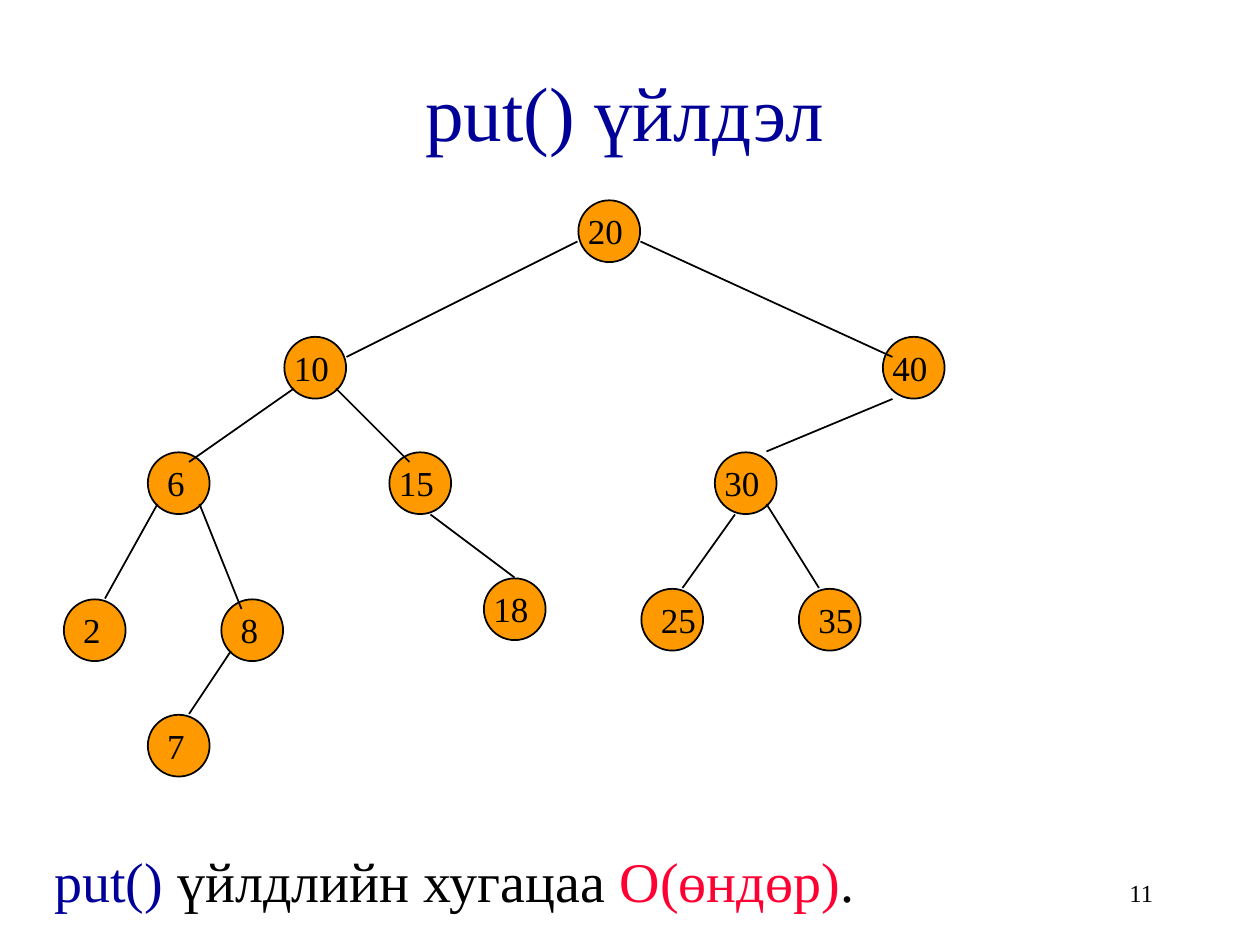
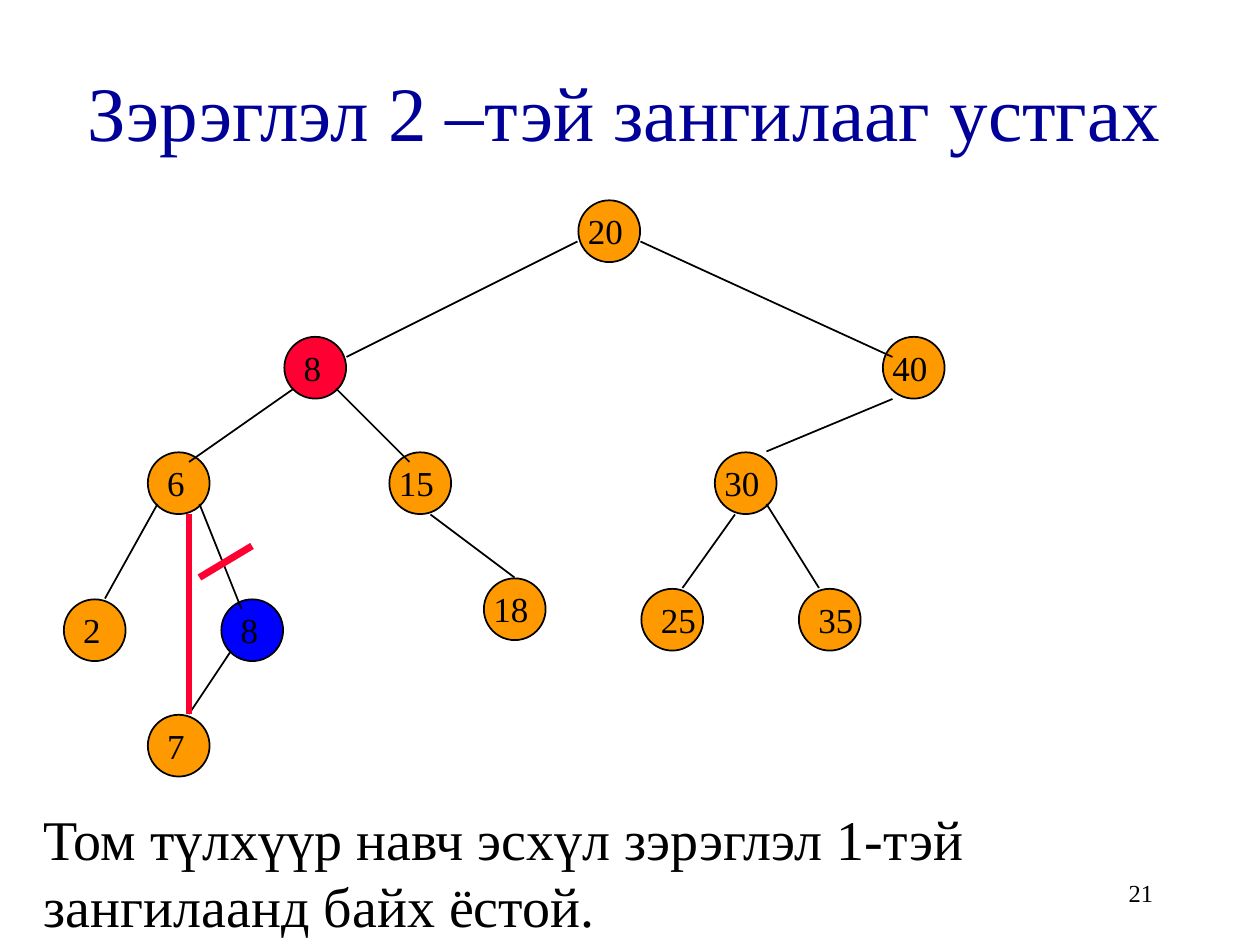
from lxml.etree import SubElement
from pptx import Presentation
from pptx.dml.color import RGBColor
from pptx.enum.shapes import MSO_CONNECTOR, MSO_SHAPE
from pptx.enum.text import MSO_ANCHOR, MSO_AUTO_SIZE, PP_ALIGN
from pptx.oxml.ns import qn
from pptx.util import Inches, Pt

COLORS = {"navy": "000099", "black": "000000", "red": "FF0033",
          "orange": "FF9900", "blue": "0000FF"}
FONT = "Times New Roman"
CELL = Inches(1) / 12
COLS, ROWS = 120, 90
TITLE = (1, 3, 117, 15)
TREE = (6, 19)
PAGE = (86, 82, 25, 6)
SIZE = 5.88
INSET = 0.08

NODES = {"20": (49, 0), "10": (21, 13), "40": (78, 13), "6": (8, 24),
         "15": (31, 24), "30": (62, 24), "2": (0, 38), "8": (15, 38),
         "25": (55, 37), "35": (70, 37), "7": (8, 49), "18": (40, 36)}
EDGES = [(49, 4, 27, 15), (55, 4, 79, 15), (22, 18, 12, 25),
         (26, 18, 33, 25), (79, 19, 67, 24), (9, 29, 4, 38),
         (13, 29, 17, 39), (64, 30, 59, 37), (67, 29, 72, 37),
         (16, 43, 12, 49), (35, 30, 43, 36)]
MARKS = [(12, 30, 12, 49), (18, 33, 13, 36)]
SHIFTED = {"25", "35"}


def span(*cells):
    """Turn grid cells into slide lengths."""
    return [round(cell * CELL) for cell in cells]


def tint(name):
    """Return the named colour."""
    return RGBColor.from_string(COLORS[name])


def style(run, size, color):
    """Format one run."""
    run.font.name = FONT
    run.font.size = Pt(size)
    run.font.color.rgb = tint(color)


def add_text(slide, box, parts, size, wrap=True):
    """Write coloured parts in one paragraph and return its frame."""
    frame = slide.shapes.add_textbox(*span(*box)).text_frame
    frame.word_wrap = wrap
    for words, color in parts:
        run = frame.paragraphs[0].add_run()
        run.text = words
        style(run, size, color)
    return frame


def add_title(slide, box, words):
    """Place and format the title."""
    title = slide.shapes.title
    title.left, title.top, title.width, title.height = span(*box)
    frame = title.text_frame
    frame.text = words
    frame.auto_size = MSO_AUTO_SIZE.NONE
    frame.vertical_anchor = MSO_ANCHOR.MIDDLE
    frame.paragraphs[0].alignment = PP_ALIGN.CENTER
    style(frame.paragraphs[0].runs[0], 44, "navy")


def add_page(slide, box, number):
    """Write the page number at the right of its box."""
    frame = add_text(slide, box, [(number, "black")], 14)
    frame.vertical_anchor = MSO_ANCHOR.MIDDLE
    frame.paragraphs[0].alignment = PP_ALIGN.RIGHT


def add_node(slide, left, top, color):
    """Draw one tree node."""
    node = slide.shapes.add_shape(
        MSO_SHAPE.OVAL, *span(left + INSET, top + INSET, SIZE, SIZE))
    node.shadow.inherit = False
    node.fill.solid()
    node.fill.fore_color.rgb = tint(color)
    node.line.color.rgb = tint("black")
    node.line.width = Pt(1)


def add_label(slide, left, top, key, shifted):
    """Write the key of one node."""
    shift = 0.75 if shifted else -0.2
    width = 4.08 if len(key) == 1 else 5.76
    box = (left + shift, top + 0.4, width, 5.2)
    add_text(slide, box, [(key, "black")], 20, wrap=False)


def add_lines(slide, origin, ends, color, width):
    """Draw straight lines relative to the origin."""
    left, top = origin
    for x1, y1, x2, y2 in ends:
        line = slide.shapes.add_connector(
            MSO_CONNECTOR.STRAIGHT,
            *span(left + x1, top + y1, left + x2, top + y2))
        line.line.color.rgb = tint(color)
        line.line.width = Pt(width)
        SubElement(line._element.spPr, qn("a:effectLst"))


def add_tree(slide, origin, keys, fills):
    """Draw the search tree, with changed keys and fills by node."""
    left, top = origin
    for name, (x, y) in NODES.items():
        add_node(slide, left + x, top + y, fills.get(name, "orange"))
    add_lines(slide, origin, EDGES, "black", 1)
    for name, (x, y) in NODES.items():
        key = keys.get(name, name)
        shifted = len(key) == 1 or name in SHIFTED
        add_label(slide, left + x, top + y, key, shifted)


def add_slide(deck, title, note, box, page, keys={}, fills={}, marks=()):
    """Build one tree slide."""
    slide = deck.slides.add_slide(deck.slide_layouts[5])
    add_title(slide, TITLE, title)
    add_tree(slide, TREE, keys, fills)
    add_lines(slide, TREE, marks, "red", 4)
    add_text(slide, box, note, 32)
    add_page(slide, PAGE, page)


def main():
    """Build and save the deck."""
    deck = Presentation()
    deck.slide_width, deck.slide_height = span(COLS, ROWS)
    add_slide(deck, "put() үйлдэл",
              [("put() ", "navy"), ("үйлдлийн хугацаа ", "black"),
               ("O(өндөр)", "red"), (".", "black")],
              (4, 80, 108, 7.6), "11")
    add_slide(deck, "Зэрэглэл 2 –тэй зангилааг устгах",
              [("Том түлхүүр навч эсхүл зэрэглэл 1-тэй "
                "зангилаанд байх ёстой.", "black")],
              (3, 76, 108, 14), "21", keys={"10": "8"},
              fills={"10": "red", "8": "blue"}, marks=MARKS)
    deck.save("out.pptx")


if __name__ == "__main__":
    main()
